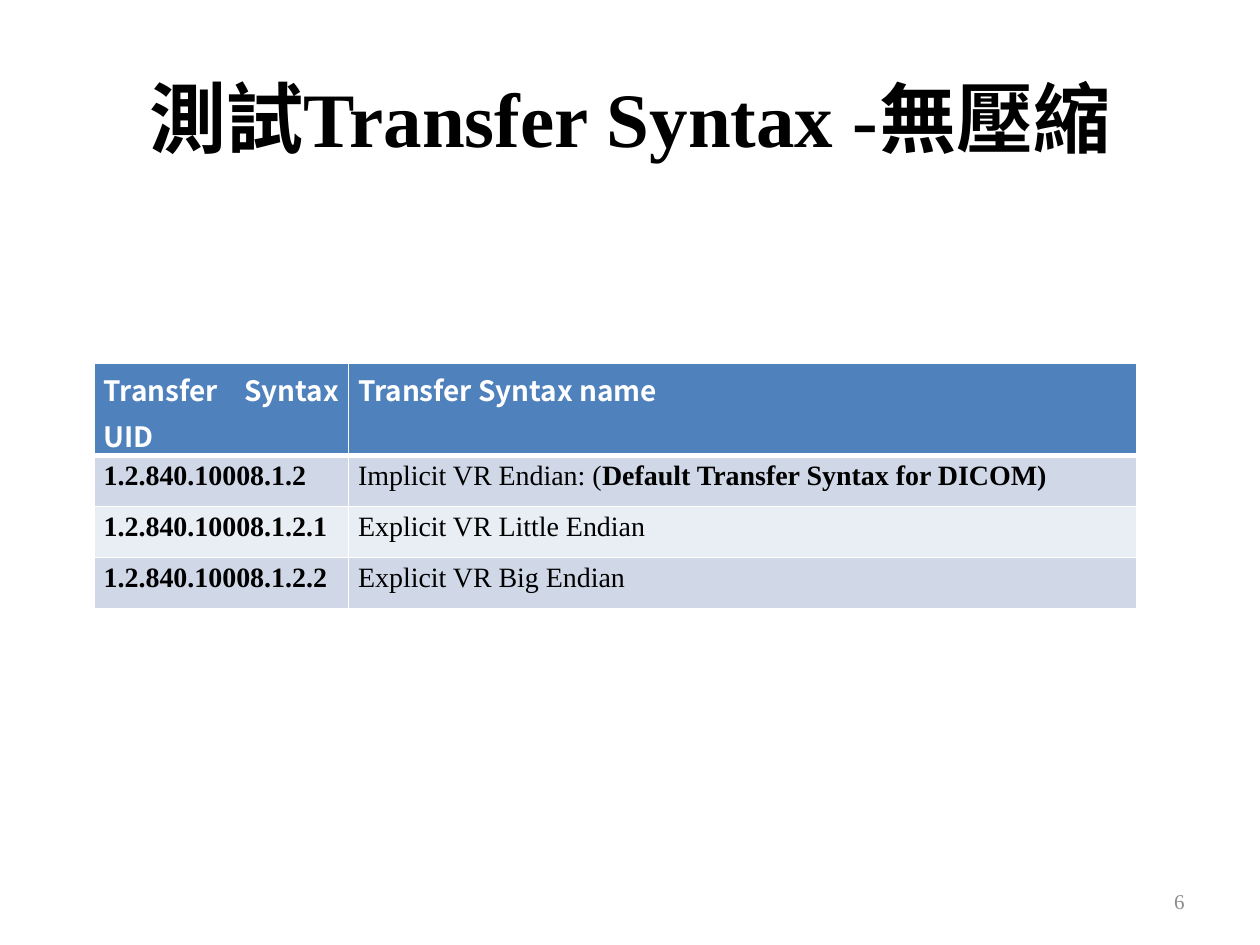
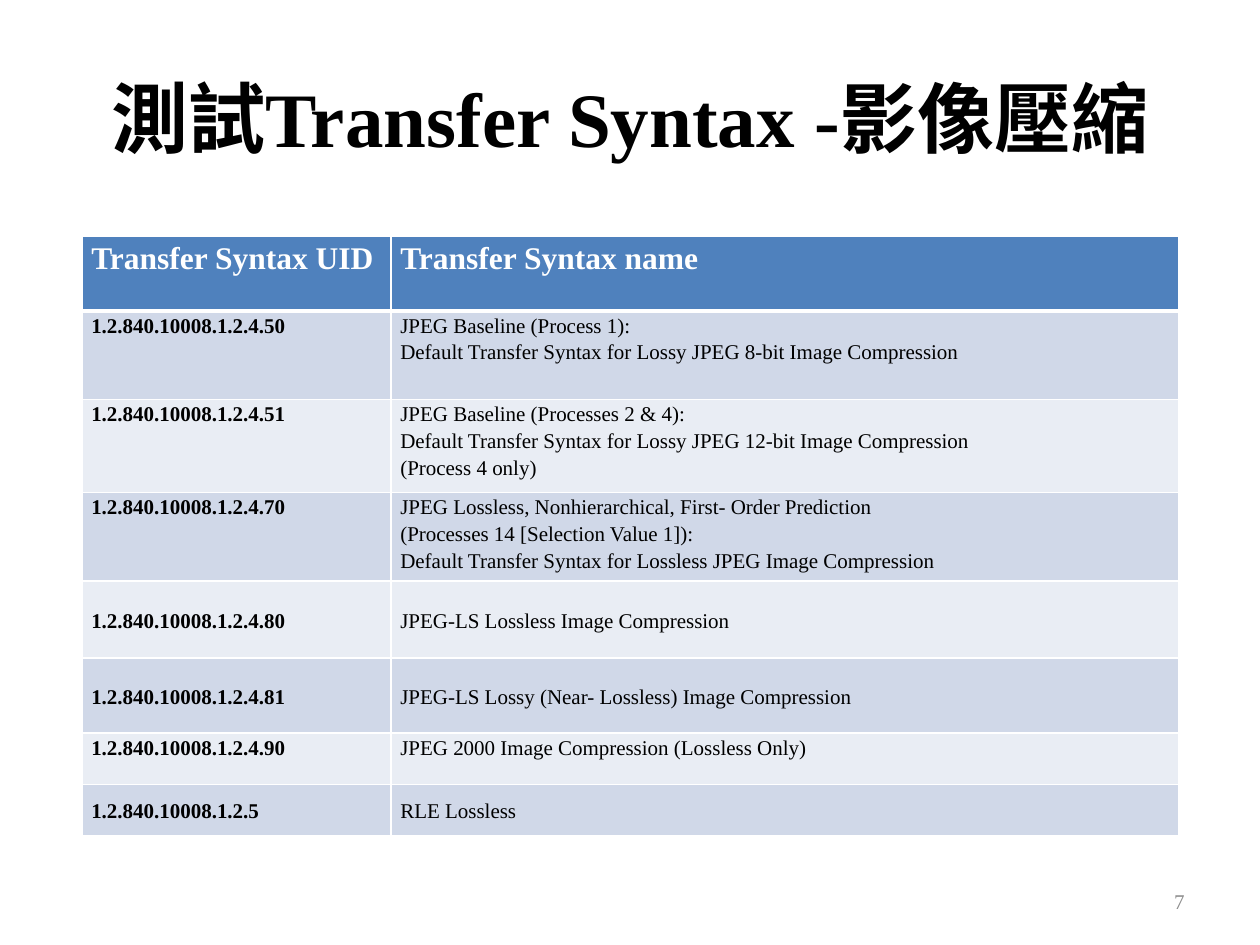
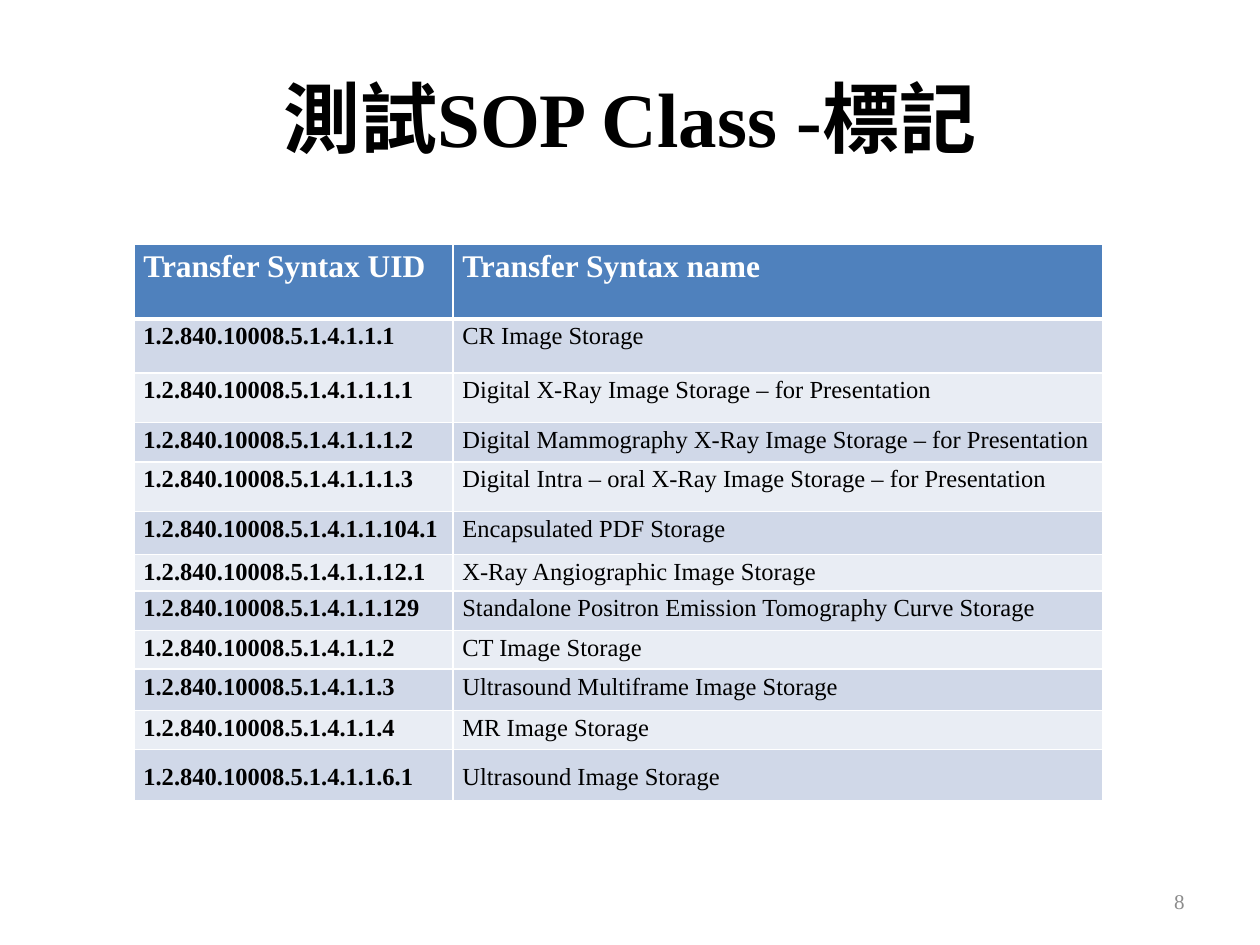
from copy import deepcopy
from dataclasses import dataclass

from lxml import etree
from pptx import Presentation, util as u
from pptx.dml.color import RGBColor
from pptx.enum import text
from pptx.oxml import ns


@dataclass(frozen=True)
class Theme:
    """Colours, fonts and type sizes shared by all slides."""
    serif: str = "Times New Roman"
    sans: str = "Noto Sans CJK TC"
    ink: str = "000000"
    white: str = "FFFFFF"
    grey: str = "8C8C8C"
    header: str = "4F81BD"
    bands: tuple = ("D0D8E8", "E9EDF4")
    title_size: int = 44
    number_size: int = 12
    thin: float = 1
    thick: float = 3
    spacing: float = 1.15
    inset: float = 0.19


THEME = Theme()
ALIGN = text.PP_ALIGN
ANCHOR = text.MSO_ANCHOR

# Places in cm: left, top, width, height
SLIDE_SIZE = (25.4, 19.05)
TITLE_PLACE = (1.27, 0.76, 22.86, 3.18)
NUMBER_PLACE = (18.21, 17.65, 5.92, 1.02)
FIRST_NUMBER = 6

HEADER = ("Transfer Syntax UID", "Transfer Syntax name")

# A name is a string, or a list of (text, bold) parts.
# "middle" lists the body rows whose text is centred vertically.
SLIDES = [
    dict(
        title="測試Transfer Syntax -無壓縮",
        place=(1.9, 7.32), columns=(5.13, 15.88),
        heights=[1.86] + [1.03] * 3,
        header_font=THEME.sans, header_size=16, body_size=16,
        align=ALIGN.JUSTIFY, middle=(),
        rows=[
            ("1.2.840.10008.1.2",
             [("Implicit VR Endian: (", False),
              ("Default Transfer Syntax for DICOM)", True)]),
            ("1.2.840.10008.1.2.1", "Explicit VR Little Endian"),
            ("1.2.840.10008.1.2.2", "Explicit VR Big Endian"),
        ],
    ),
    dict(
        title="測試Transfer Syntax -影像壓縮",
        place=(1.65, 4.76), columns=(6.23, 15.88),
        heights=[1.51, 1.78, 1.88, 1.78, 1.55, 1.52, 1.03, 1.03],
        header_font=THEME.serif, header_size=18, body_size=12,
        align=ALIGN.LEFT, middle=(4, 5, 7),
        rows=[
            ("1.2.840.10008.1.2.4.50",
             "JPEG Baseline (Process 1):\n"
             "Default Transfer Syntax for Lossy JPEG 8-bit Image Compression"),
            ("1.2.840.10008.1.2.4.51",
             "JPEG Baseline (Processes 2 & 4):\n"
             "Default Transfer Syntax for Lossy JPEG 12-bit Image Compression\n"
             "(Process 4 only)"),
            ("1.2.840.10008.1.2.4.70",
             "JPEG Lossless, Nonhierarchical, First- Order Prediction\n"
             "(Processes 14 [Selection Value 1]):\n"
             "Default Transfer Syntax for Lossless JPEG Image Compression"),
            ("1.2.840.10008.1.2.4.80", "JPEG-LS Lossless Image Compression"),
            ("1.2.840.10008.1.2.4.81",
             "JPEG-LS Lossy (Near- Lossless) Image Compression"),
            ("1.2.840.10008.1.2.4.90",
             "JPEG 2000 Image Compression (Lossless Only)"),
            ("1.2.840.10008.1.2.5", "RLE Lossless"),
        ],
    ),
    dict(
        title="測試SOP Class -標記",
        place=(2.7, 4.92), columns=(6.43, 13.11),
        heights=[1.51, 1.09, 1.0, 0.79, 1.0, 0.87,
                 0.73, 0.8, 0.78, 0.83, 0.79, 1.04],
        header_font=THEME.serif, header_size=18, body_size=14,
        align=ALIGN.LEFT, middle=(11,),
        rows=[
            ("1.2.840.10008.5.1.4.1.1.1", "CR Image Storage"),
            ("1.2.840.10008.5.1.4.1.1.1.1",
             "Digital X-Ray Image Storage – for Presentation"),
            ("1.2.840.10008.5.1.4.1.1.1.2",
             "Digital Mammography X-Ray Image Storage – for Presentation"),
            ("1.2.840.10008.5.1.4.1.1.1.3",
             "Digital Intra – oral X-Ray Image Storage – for Presentation"),
            ("1.2.840.10008.5.1.4.1.1.104.1", "Encapsulated PDF Storage"),
            ("1.2.840.10008.5.1.4.1.1.12.1",
             "X-Ray Angiographic Image Storage"),
            ("1.2.840.10008.5.1.4.1.1.129",
             "Standalone Positron Emission Tomography Curve Storage"),
            ("1.2.840.10008.5.1.4.1.1.2", "CT Image Storage"),
            ("1.2.840.10008.5.1.4.1.1.3",
             "Ultrasound Multiframe Image Storage"),
            ("1.2.840.10008.5.1.4.1.1.4", "MR Image Storage"),
            ("1.2.840.10008.5.1.4.1.1.6.1", "Ultrasound Image Storage"),
        ],
    ),
]


def add_span(para, words, size, colour, bold=False, font=THEME.serif):
    """Add one formatted run, with the East Asian font set beside the Latin."""
    span = para.add_run()
    span.text = words
    span.font.name = font
    span.font.size = u.Pt(size)
    span.font.bold = bold
    span.font.color.rgb = RGBColor.from_string(colour)
    east_asian = etree.SubElement(span.font._element, ns.qn("a:ea"))
    east_asian.set("typeface", THEME.sans)
    return span


def add_lines(para, words, *style):
    """Add text whose lines are parted by breaks of the same type size."""
    for index, line in enumerate(words.split("\n")):
        if index:
            para.add_line_break()
            para._p[-1].append(deepcopy(span.font._element))
        span = add_span(para, line, *style)


def add_label(page, place, words, align, *style):
    """Add a text box holding one vertically centred line."""
    box = page.shapes.add_textbox(*map(u.Cm, place))
    frame = box.text_frame
    frame.word_wrap = True
    frame.vertical_anchor = ANCHOR.MIDDLE
    para = frame.paragraphs[0]
    para.alignment = align
    add_span(para, words, *style)


def set_borders(cell, **widths):
    """Draw white cell borders, given side names and widths in points."""
    properties = cell._tc.get_or_add_tcPr()
    for index, (side, width) in enumerate(widths.items()):
        line = etree.Element(ns.qn(f"a:ln{side}"), w=str(u.Pt(width)))
        fill = etree.SubElement(line, ns.qn("a:solidFill"))
        etree.SubElement(fill, ns.qn("a:srgbClr"), val=THEME.white)
        properties.insert(index, line)


def prepare_cell(cell, row, align, middle):
    """Set fill, insets, borders and anchor; return the cell's paragraph."""
    colour = THEME.bands[(row - 1) % 2] if row else THEME.header
    cell.fill.solid()
    cell.fill.fore_color.rgb = RGBColor.from_string(colour)
    cell.margin_left = cell.margin_right = u.Cm(THEME.inset)
    cell.margin_top = cell.margin_bottom = 0
    cell.vertical_anchor = ANCHOR.MIDDLE if middle else ANCHOR.TOP
    set_borders(cell, L=THEME.thin, R=THEME.thin,
                T=THEME.thick if row == 1 else THEME.thin,
                B=THEME.thin if row else THEME.thick)
    para = cell.text_frame.paragraphs[0]
    para.alignment = align
    para.line_spacing = THEME.spacing
    return para


def add_syntax_table(page, content):
    """Add the table of identifiers and names."""
    columns, heights = content["columns"], content["heights"]
    rows = [HEADER] + content["rows"]
    size = (sum(columns), sum(heights))
    table = page.shapes.add_table(
        len(rows), len(columns), *map(u.Cm, content["place"] + size)).table
    for column, width in zip(table.columns, columns):
        column.width = u.Cm(width)
    for line, height in zip(table.rows, heights):
        line.height = u.Cm(height)
    for row, values in enumerate(rows):
        for column, value in enumerate(values):
            para = prepare_cell(table.cell(row, column), row,
                                content["align"] if row else ALIGN.JUSTIFY,
                                row in content["middle"])
            if row == 0:
                add_span(para, value, content["header_size"], THEME.white,
                         True, content["header_font"])
                continue
            parts = [(value, column == 0)] if isinstance(value, str) else value
            for words, bold in parts:
                add_lines(para, words, content["body_size"], THEME.ink, bold)


def build():
    """Build and save the deck."""
    deck = Presentation()
    deck.slide_width, deck.slide_height = map(u.Cm, SLIDE_SIZE)
    for number, content in enumerate(SLIDES, FIRST_NUMBER):
        page = deck.slides.add_slide(deck.slide_layouts[6])
        add_label(page, TITLE_PLACE, content["title"], ALIGN.CENTER,
                  THEME.title_size, THEME.ink, True)
        add_label(page, NUMBER_PLACE, str(number), ALIGN.RIGHT,
                  THEME.number_size, THEME.grey)
        add_syntax_table(page, content)
    deck.save("out.pptx")


build()
